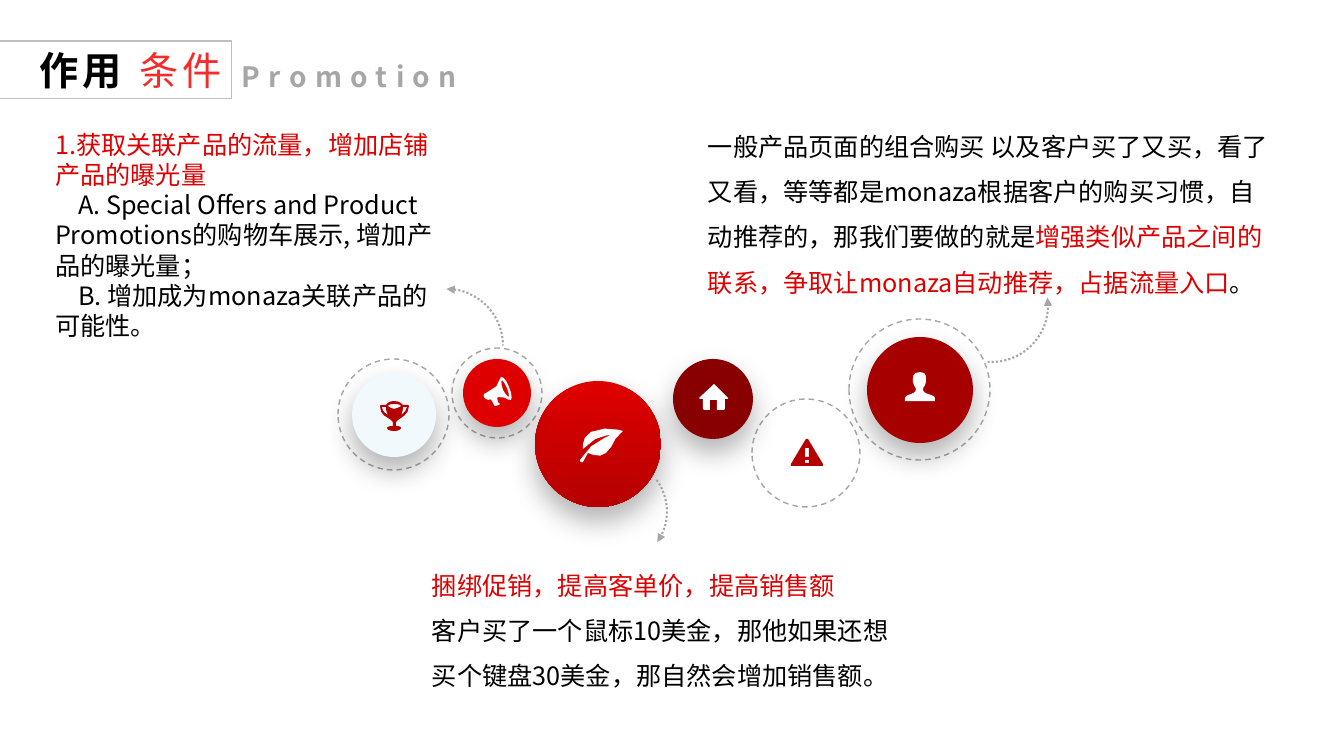
"""Build the promotion slide: three notes around a chain of icon discs."""
import pptx
import pptx.util
import pptx.dml.color
import pptx.enum.dml
import pptx.enum.shapes
import pptx.enum.text
import pptx.oxml
import pptx.oxml.ns

THEME = {
    "font": "Noto Sans CJK SC", "title": 28, "sub": 20, "body": 18,
    "black": "000000", "white": "FFFFFF", "red": "DE0000", "deep": "B60000",
    "wine": "A60000", "dark": "880000", "pale": "F1F9FD", "bright": "F42B2B",
    "gray": "A6A6A6", "frame": "BFBFBF",
}
HEAD = [[("作用 ", "black", True), ("条件", "bright", False)]]
SUB = [[("Promotion", "gray", True)]]
GAINS = [
    [("1.获取关联产品的流量，增加店铺产品的曝光量", "red", False)],
    [("A. Special Offers and Product Promotions的购物车展示, 增加产品的曝光量；", "black", False)],
    [("B. 增加成为monaza关联产品的可能性。", "black", False)],
]
LINKS = [[
    ("一般产品页面的组合购买 以及客户买了又买，看了又看，等等都是monaza根据客户的购买习惯，"
     "自动推荐的，那我们要做的就是", "black", False),
    ("增强类似产品之间的联系，争取让monaza自动推荐，占据流量入口", "red", False),
    ("。", "black", False),
]]
BUNDLE = [
    [("捆绑促销，提高客单价，提高销售额", "red", False)],
    [("客户买了一个鼠标10美金，那他如果还想买个键盘30美金，那自然会增加销售额。", "black", False)],
]
RINGS = [(752, 399, 108), (849, 319, 141), (452, 348, 90), (338, 359, 111)]
DISCS = [(535, 381, 126, ("red", "deep")), (352, 373, 84, "pale"), (867, 337, 106, "wine"),
         (673, 359, 80, "dark"), (463, 359, 68, "red")]
ARCS = [(390, 289, 113, 270, 0, "headEnd"), (935, 249, 113, 352, 94, "headEnd"),
        (560, 458, 107, 324, 35, "tailEnd")]
LEAF = [[(12, 7), (3, 12, 4, 20, 4, 24), (15, 10, 32, 10, 32, 10), (32, 10, 8, 19, 1, 35),
         (0, 37, 4, 38, 4, 37), (9, 28), (14, 30, 22, 33, 27, 28),
         (34, 24, 34, 12, 44, 6), (46, 6, 23, 0, 12, 7)]]
CUP = [
    [(16, 22), (16, 20, 18, 19, 21, 17), (24, 15, 29, 12, 29, 5), (28, 4), (23, 4),
     (21, 2, 19, 0, 14, 0), (10, 0, 7, 2, 6, 4), (1, 4), (0, 5), (0, 12, 4, 15, 8, 17),
     (11, 19, 13, 20, 13, 22), (13, 25), (9, 25, 7, 26, 7, 27), (7, 29, 10, 30, 14, 30),
     (18, 30, 21, 29, 21, 27), (21, 26, 20, 25, 16, 25)],
    [(21, 14), (22, 12, 23, 10, 23, 6), (27, 6), (26, 10, 24, 12, 21, 14)],
    [(14, 3), (19, 3, 21, 4, 21, 5), (21, 5, 19, 7, 14, 8), (10, 7, 8, 5, 8, 5), (8, 4, 10, 3, 14, 3)],
    [(2, 6), (6, 6), (6, 10, 7, 12, 8, 14), (5, 12, 2, 10, 2, 6)],
]
MAN = [[(23, 22), (19, 21, 18, 19, 18, 17), (18, 15, 19, 16, 20, 13), (21, 10),
        (21, 6), (21, 4, 21, 0, 15, 0), (9, 0, 8, 4, 8, 6), (8, 10),
        (9, 13), (10, 16, 11, 15, 11, 17), (11, 19, 10, 21, 6, 22),
        (2, 23, 0, 25, 0, 26), (0, 29), (30, 29), (30, 26), (30, 25, 28, 23, 23, 22)]]
HOUSE = [[(29, 14), (16, 1), (15, 0), (14, 1), (0, 14), (1, 15), (4, 15), (4, 25), (5, 26), (11, 26),
          (11, 16), (18, 16), (18, 26), (25, 26), (26, 25), (26, 15), (29, 15)]]
HORN = [
    [(26, 11), (24, 5, 20, 0, 18, 1), (14, 3, 20, 10, 3, 17), (1, 17, 0, 19, 1, 21),
     (1, 22, 4, 24, 6, 24), (7, 23), (9, 25), (11, 29), (12, 30), (16, 29), (17, 28), (15, 26),
     (14, 22), (15, 21), (23, 20, 25, 25, 28, 24), (29, 23, 29, 17, 26, 11)],
    [(26, 21), (25, 21, 22, 18, 20, 14), (18, 9, 18, 4, 19, 4), (19, 4, 22, 7, 24, 12),
     (26, 17, 26, 20, 26, 21)],
]
ALERT = [[(32, 25), (17, 0), (15, 0), (0, 25), (0, 27), (32, 27)],
         [(18, 24), (14, 24), (14, 21), (18, 21)], [(18, 18), (14, 18), (14, 9), (18, 9)]]
ICONS = [(579, 425, LEAF, "white"), (380, 401, CUP, "deep"), (905, 372, MAN, "white"),
         (699, 384, HOUSE, "white"), (483, 376, HORN, "white"), (791, 439, ALERT, "deep")]

SCALE = 12192000 / 1344
FINE = 100
STEPS = 3
KIND = pptx.enum.shapes.MSO_SHAPE
DASH = pptx.enum.dml.MSO_LINE
TEXT = pptx.enum.text


def px(*vals):
    return [round(val * SCALE) for val in vals]


def tint(name):
    return pptx.dml.color.RGBColor.from_string(THEME[name])


def node(host, tag, inner="", **attrs):
    pairs = " ".join(f'{key}="{val}"' for key, val in attrs.items())
    host.append(pptx.oxml.parse_xml(f'<a:{tag} {pptx.oxml.ns.nsdecls("a")} {pairs}>{inner}</a:{tag}>'))


def put(item, **values):
    for key, val in values.items():
        setattr(item, key, val)


def paint(shape, fill=None, line=None, width=1, dash=None):
    if isinstance(fill, tuple):
        shape.fill.gradient()
        shape.fill.gradient_angle = 270
        for stop, name, spot in zip(shape.fill.gradient_stops, fill, (0.01, 1)):
            stop.color.rgb, stop.position = tint(name), spot
    elif fill:
        shape.fill.solid()
        shape.fill.fore_color.rgb = tint(fill)
    else:
        shape.fill.background()
    if line:
        shape.line.color.rgb = tint(line)
        put(shape.line, width=pptx.util.Pt(width), dash_style=dash)
    else:
        shape.line.fill.background()


def write(shape, paras, size, space=None, wrap=True, track=0, align=TEXT.PP_ALIGN.LEFT, lead=0):
    frame = shape.text_frame
    put(frame, word_wrap=wrap, auto_size=TEXT.MSO_AUTO_SIZE.NONE)
    for rank, runs in enumerate(paras):
        para = frame.add_paragraph() if rank else frame.paragraphs[0]
        props = para._p.get_or_add_pPr()
        props.set("marL", "0")
        props.set("indent", str(px(lead if rank else 0)[0]))
        node(props, "buNone")
        put(para, line_spacing=space, space_before=pptx.util.Pt(0), alignment=align)
        for words, color, bold in runs:
            run = para.add_run()
            run.text = words
            put(run.font, name=THEME["font"], size=pptx.util.Pt(THEME[size]), bold=bold)
            run.font.color.rgb = tint(color)
            mark = run._r.get_or_add_rPr()
            node(mark, "ea", typeface=THEME["font"])
            mark.set("spc", str(track * 100))


def place(shape, *box):
    put(shape, **dict(zip(("left", "top", "width", "height"), px(*box))))
    return shape


def trace(loop):
    out = [loop[0]]
    for part in loop[1:]:
        ends = [out[-1], part[:2], part[2:4], part[4:]]
        for step in range(1, STEPS + 1) if len(part) > 2 else ():
            t = step / STEPS
            mix = ((1 - t) ** 3, 3 * (1 - t) ** 2 * t, 3 * (1 - t) * t * t, t ** 3)
            out.append(tuple(sum(m * end[axis] for m, end in zip(mix, ends)) for axis in (0, 1)))
        if len(part) == 2:
            out.append(part)
    return [(x * FINE, y * FINE) for x, y in out]


def draw(shapes, left, top, loops, color):
    pen = shapes.build_freeform(*trace(loops[0])[0], scale=SCALE / FINE)
    for rank, loop in enumerate(loops):
        dots = trace(loop)
        if rank:
            pen.move_to(*dots[0])
        pen.add_line_segments(dots[1:], close=True)
    shape = pen.convert_to_shape(*px(left, top))
    shape.shadow.inherit = False
    paint(shape, color)


def main():
    deck = pptx.Presentation()
    put(deck, slide_width=px(1344)[0], slide_height=px(756)[0])
    slide = deck.slides.add_slide(deck.slide_layouts[1])
    shapes = slide.shapes

    def add(kind, *box):
        shape = shapes.add_shape(kind, *px(*box))
        shape.shadow.inherit = False
        return shape

    for left, top, size in RINGS:
        paint(add(KIND.OVAL, left, top, size, size), line="gray", dash=DASH.DASH)
    for left, top, size, fill in DISCS:
        disc = add(KIND.OVAL, left, top, size, size)
        paint(disc, fill)
        glow = disc._element.spPr.find(pptx.oxml.ns.qn("a:effectLst"))
        node(glow, "outerShdw", '<a:srgbClr val="000000"><a:alpha val="30000"/></a:srgbClr>',
             blurRad=254000, dist=127000, dir=5400000, algn="t", rotWithShape=0)
    for icon in ICONS:
        draw(shapes, *icon)
    for left, top, size, start, end, tip in ARCS:
        arc = add(KIND.ARC, left, top, size, size)
        arc.adjustments[0], arc.adjustments[1] = start * 0.6, end * 0.6
        paint(arc, line="gray", width=1.5, dash=DASH.ROUND_DOT)
        node(arc.line._get_or_add_ln(), tip, type="triangle")
    title = place(shapes.title, -82, 41, 314, 58)
    paint(title, line="frame", width=0.75)
    write(title, HEAD, "title", 0.9, track=3, align=TEXT.PP_ALIGN.RIGHT)
    title.text_frame.vertical_anchor = TEXT.MSO_ANCHOR.BOTTOM
    write(place(slide.placeholders[1], 45, 124, 406, 224), GAINS, "body", lead=23)
    write(shapes.add_textbox(*px(232, 55, 247, 44)), SUB, "sub", wrap=False, track=6)
    write(shapes.add_textbox(*px(698, 111, 592, 194)), LINKS, "body", 1.5)
    write(shapes.add_textbox(*px(422, 550, 500, 147)), BUNDLE, "body", 1.5)
    deck.save("out.pptx")


if __name__ == "__main__":
    main()
